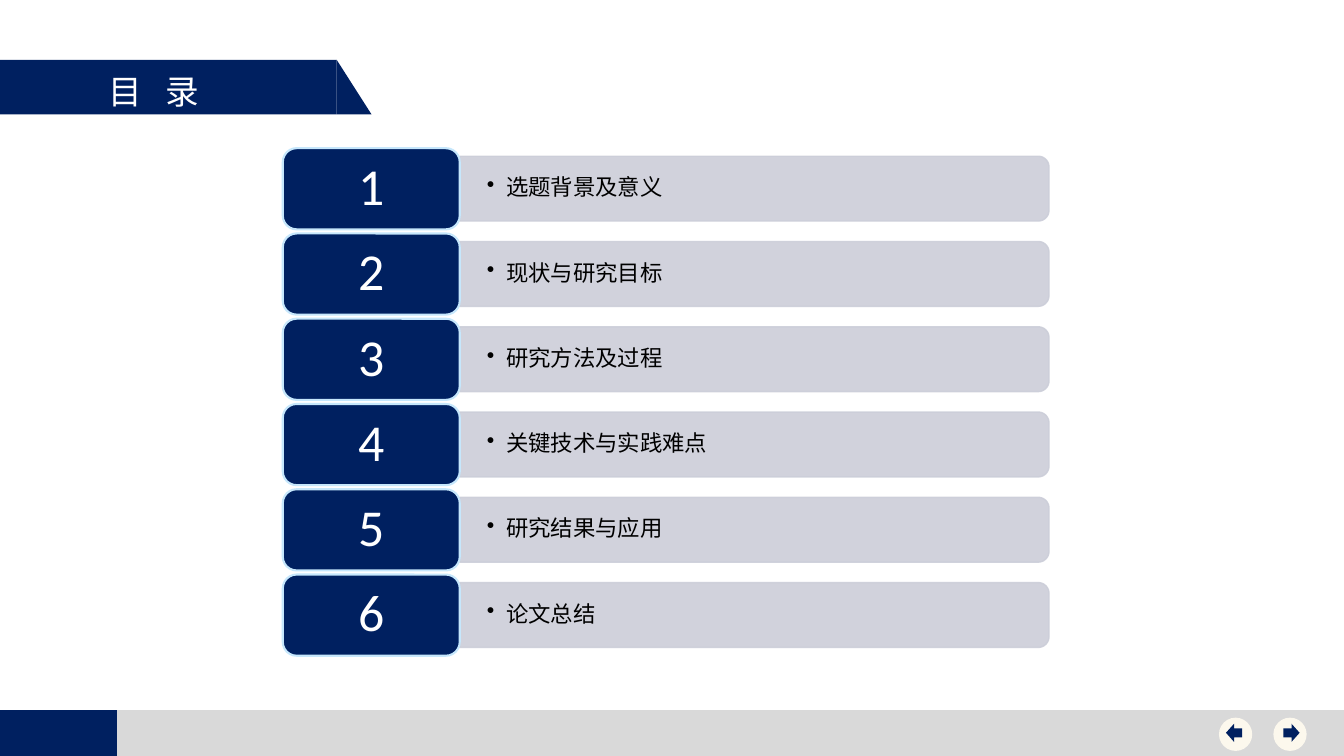
from math import cos, pi, sin

from lxml.etree import SubElement
from pptx import Presentation
from pptx.dml.color import RGBColor
from pptx.enum.shapes import MSO_SHAPE
from pptx.enum.text import MSO_ANCHOR, MSO_AUTO_SIZE, PP_ALIGN
from pptx.oxml.ns import qn
from pptx.util import Inches, Pt

WIDTH, HEIGHT = Inches(13.33), Inches(7.5)
COLUMNS, ROWS = 1333, 750
NAVY, SILVER, BAR, GLOW, CREAM = "002060", "D9D9D9", "CCCED9", "C6E7FC", "FCF8ED"
WHITE, BLACK = "FFFFFF", "000000"
TOPICS = ["选题背景及意义", "现状与研究目标", "研究方法及过程",
          "关键技术与实践难点", "研究结果与应用", "论文总结"]
FIRST_ROW, ROW_STEP = 147, 84.6


def across(columns):
    """Length of a number of grid columns."""
    return round(columns * WIDTH / COLUMNS)


def down(rows):
    """Length of a number of grid rows."""
    return round(rows * HEIGHT / ROWS)


def place(left, top, width, height):
    """Position and size from grid columns and rows."""
    return across(left), down(top), across(width), down(height)


def color(code):
    """Colour from a hex string."""
    return RGBColor.from_string(code)


def paint(shape, fill, line=None, weight=1):
    """Give a shape a flat fill and an optional outline."""
    shape.shadow.inherit = False
    shape.fill.solid()
    shape.fill.fore_color.rgb = color(fill)
    if line:
        shape.line.color.rgb = color(line)
        shape.line.width = Pt(weight)
    else:
        shape.line.fill.background()


def add_block(page, kind, area, fill, line=None, weight=1):
    """Draw a preset shape on the grid."""
    shape = page.shapes.add_shape(kind, *place(*area))
    paint(shape, fill, line, weight)
    return shape


def set_margins(frame, left, top, right, bottom):
    """Set text margins in grid units."""
    frame.margin_left, frame.margin_right = across(left), across(right)
    frame.margin_top, frame.margin_bottom = down(top), down(bottom)


def write(frame, text, size, font, ink, align=PP_ALIGN.LEFT):
    """Put one line of text in a frame and style its paragraph."""
    frame.word_wrap = True
    para = frame.paragraphs[0]
    para.alignment = align
    para.add_run().text = text
    para.font.size = Pt(size)
    para.font.name = font
    para.font.color.rgb = color(ink)
    return para


def add_bullet(para, indent):
    """Give a paragraph a hanging round bullet."""
    properties = para._p.get_or_add_pPr()
    properties.set("marL", str(across(indent)))
    properties.set("indent", str(-across(indent)))
    SubElement(properties, qn("a:buChar")).set("char", "•")


def soften(shape, percent):
    """Set the opacity of a shape's fill and outline."""
    for tint in shape._element.spPr.iter(qn("a:srgbClr")):
        SubElement(tint, qn("a:alpha")).set("val", str(percent * 1000))


def add_topic_bar(page, top, topic):
    """Draw a bar with rounded right corners and its bulleted topic."""
    left, right, bottom, radius, steps = 456, 1040.5, top + 64.3, 10.7, 12
    corners = [(top + radius, -pi / 2), (bottom - radius, 0)]
    outline = [(right - radius + radius * cos(start + pi / 2 * step / steps),
                middle + radius * sin(start + pi / 2 * step / steps))
               for middle, start in corners for step in range(steps + 1)]
    points = [(across(x), down(y)) for x, y in outline + [(left, bottom)]]
    builder = page.shapes.build_freeform(across(left), down(top), scale=1.0)
    builder.add_line_segments(points, close=True)
    bar = builder.convert_to_shape()
    paint(bar, BAR, BAR)
    soften(bar, 90)
    frame = bar.text_frame
    frame.vertical_anchor = MSO_ANCHOR.MIDDLE
    set_margins(frame, 27, 17, 30, 17)
    para = frame.paragraphs[0]
    para.line_spacing = 0.9
    add_bullet(para, 19)
    write(frame, topic, 16, "Calibri", BLACK)


def add_number(page, top, number):
    """Draw the navy tile that carries a topic's number."""
    tile = add_block(page, MSO_SHAPE.ROUNDED_RECTANGLE, (280.5, top, 175.5, 80.5),
                     NAVY, GLOW, 1.5)
    tile.adjustments[0] = 0.17
    frame = tile.text_frame
    frame.vertical_anchor = MSO_ANCHOR.MIDDLE
    set_margins(frame, 19, 12, 19, 12)
    para = write(frame, str(number), 37, "Calibri", WHITE, PP_ALIGN.CENTER)
    para.line_spacing = 0.9


def add_title(page):
    """Draw the title ribbon and its widely spaced heading."""
    add_block(page, MSO_SHAPE.RECTANGLE, (0, 59.5, 334, 54), NAVY)
    add_block(page, MSO_SHAPE.RIGHT_TRIANGLE, (334, 59.5, 34.5, 54), NAVY)
    box = page.shapes.add_textbox(*place(98, 65, 163, 50))
    box.text_frame.auto_size = MSO_AUTO_SIZE.SHAPE_TO_FIT_TEXT
    font = "Noto Sans CJK SC"
    para = write(box.text_frame, "目 录", 24, font, WHITE)
    rules = para.runs[0]._r.get_or_add_rPr()
    rules.set("spc", "550")
    SubElement(rules, qn("a:ea")).set("typeface", font)


def add_button(page, left, arrow, arrow_left):
    """Draw a round navigation button with its arrow."""
    add_block(page, MSO_SHAPE.OVAL, (left, 712, 33, 33), CREAM)
    add_block(page, arrow, (arrow_left, 718, 16, 18), NAVY)


def main():
    """Build the contents slide and save it."""
    deck = Presentation()
    deck.slide_width, deck.slide_height = WIDTH, HEIGHT
    page = deck.slides.add_slide(deck.slide_layouts[6])
    add_block(page, MSO_SHAPE.RECTANGLE, (0, 704.5, COLUMNS, 45.5), SILVER)
    add_block(page, MSO_SHAPE.RECTANGLE, (0, 704.5, 116, 45.5), NAVY)
    add_title(page)
    add_button(page, 1263, MSO_SHAPE.RIGHT_ARROW, 1273)
    add_button(page, 1209, MSO_SHAPE.LEFT_ARROW, 1216)
    for index, topic in enumerate(TOPICS):
        top = FIRST_ROW + index * ROW_STEP
        add_topic_bar(page, top + 8, topic)
        add_number(page, top, index + 1)
    deck.save("out.pptx")


if __name__ == "__main__":
    main()
